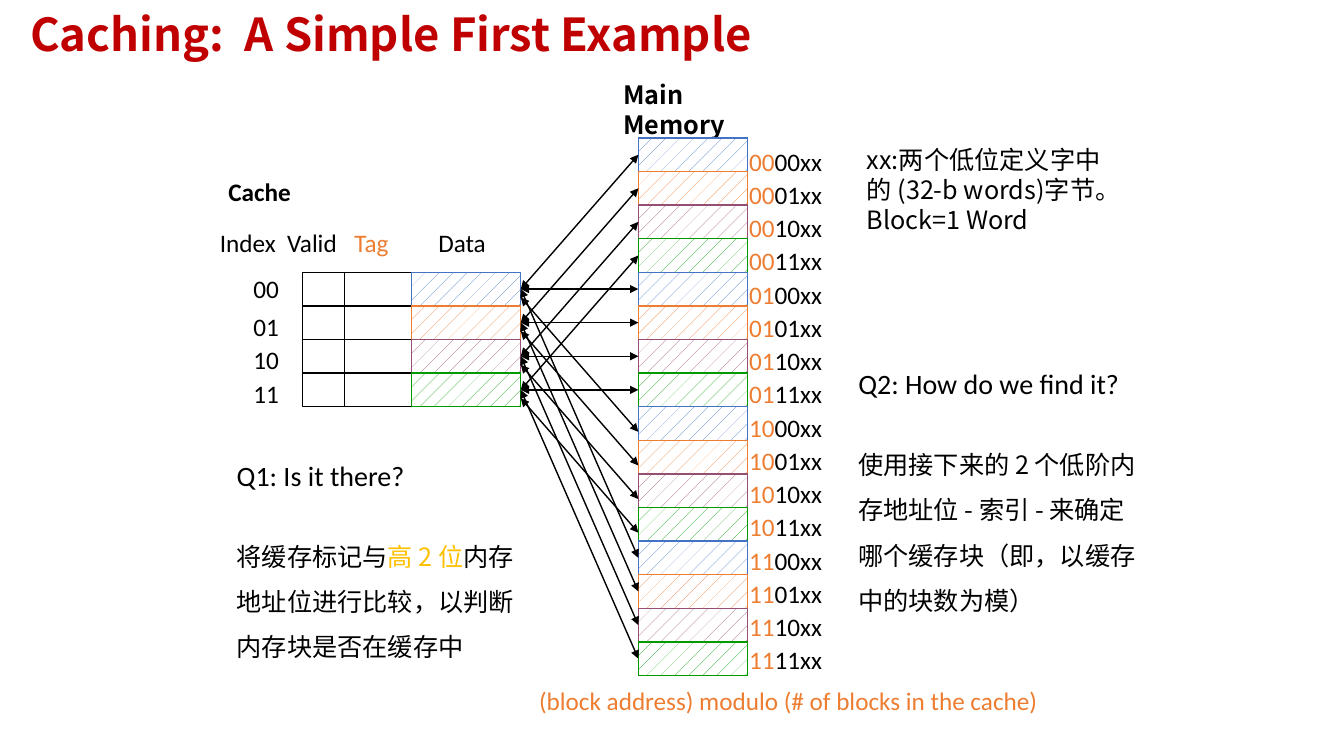
from dataclasses import dataclass

from lxml.etree import SubElement
from pptx import Presentation
from pptx.dml.color import RGBColor
from pptx.enum.dml import MSO_PATTERN
from pptx.enum.shapes import MSO_CONNECTOR, MSO_SHAPE
from pptx.enum.text import MSO_ANCHOR
from pptx.oxml.ns import qn
from pptx.util import Pt


@dataclass(frozen=True)
class Theme:
    latin: str = "Calibri"
    cjk: str = "Noto Sans CJK SC"
    black: str = "000000"
    white: str = "FFFFFF"
    title: str = "C00000"
    tag: str = "ED7D31"
    highlight: str = "FFC000"
    blocks: tuple = ("4472C4", "ED7D31", "954F72", "009900")
    title_size: float = 32.4
    question_size: float = 20
    body_size: float = 18
    line: float = 1


THEME = Theme()
ROW_H = 24
BITS = ("00", "01", "10", "11")


def add_run(p, text, color=THEME.black, font=THEME.latin, size=THEME.body_size, bold=False):
    r = p.add_run()
    r.text = text
    r.font.name = font
    r.font.size = Pt(size)
    r.font.bold = bold
    r.font.color.rgb = RGBColor.from_string(color)
    if font == THEME.cjk:
        SubElement(r.font._element, qn("a:ea"), typeface=font)


def add_box(slide, x, y, w, h, wrap=True):
    """Add an empty text box and return its text frame."""
    tf = slide.shapes.add_textbox(Pt(x), Pt(y), Pt(w), Pt(h)).text_frame
    tf.word_wrap = wrap
    return tf


def add_label(slide, text, x, y, w, h=29, wrap=False, **style):
    tf = add_box(slide, x, y, w, h, wrap)
    add_run(tf.paragraphs[0], text, **style)
    return tf


def add_cell(slide, x, y, w, h, color=THEME.black, hatched=False):
    sp = slide.shapes.add_shape(MSO_SHAPE.RECTANGLE, Pt(x), Pt(y), Pt(w), Pt(h))
    sp.shadow.inherit = False
    sp.line.color.rgb = RGBColor.from_string(color)
    sp.line.width = Pt(THEME.line)
    if hatched:
        sp.fill.patterned()
        sp.fill.pattern = MSO_PATTERN.PERCENT_5
        sp.fill.fore_color.rgb = RGBColor.from_string(color)
        sp.fill.back_color.rgb = RGBColor.from_string(THEME.white)
    else:
        sp.fill.background()
    return sp


def add_blocks(slide, x, y, w, count):
    """Stack hatched blocks, cycling through one colour per cache index."""
    add_cell(slide, x, y, w, count * ROW_H)
    return [add_cell(slide, x, y + i * ROW_H, w, ROW_H, THEME.blocks[i % 4], True)
            for i in range(count)]


def add_title(slide, x, y, w, h):
    tf = add_label(slide, "Caching:  A Simple First Example", x, y, w, h, True,
                   color=THEME.title, font=THEME.cjk, size=THEME.title_size, bold=True)
    tf.vertical_anchor = MSO_ANCHOR.MIDDLE
    tf.paragraphs[0].line_spacing = 0.9


def add_cache(slide, x, y):
    """Draw the cache with its table corner at x, y; return the data blocks."""
    add_label(slide, "Cache", x - 60, y - 72, 60, bold=True)
    headings = (("Index", -66, 55, THEME.black), ("Valid", -18, 50, THEME.black),
                ("Tag", 30, 40, THEME.tag), ("Data", 90, 49, THEME.black))
    for text, dx, w, color in headings:
        add_label(slide, text, x + dx, y - 36, w, color=color)
    for bits, dy in zip(BITS, (-3, 24, 48, 72)):
        add_label(slide, bits, x - 42, y + dy, 33)
    for dx, w in ((0, 30), (30, 48)):
        for row in range(4):
            add_cell(slide, x + dx, y + row * ROW_H, w, ROW_H)
    return add_blocks(slide, x + 78, y, 78, 4)


def add_memory(slide, x, y):
    """Draw main memory with its first block at x, y; return the blocks."""
    add_label(slide, "Main Memory", x - 18, y - 45.5, 122, wrap=True,
              font=THEME.cjk, bold=True)
    blocks = add_blocks(slide, x, y, 78, 16)
    tf = add_box(slide, x + 72, y, 78, 387)
    for i in range(16):
        p = tf.paragraphs[0] if i == 0 else tf.add_paragraph()
        p.line_spacing = 1.1
        add_run(p, BITS[i // 4], THEME.tag)
        add_run(p, BITS[i % 4] + "xx")
    return blocks


def add_mapping(slide, cache, memory):
    """Link each memory block to the cache block its index selects."""
    for i, block in enumerate(memory):
        data = cache[i % 4]
        # The third quarter runs a little lower, clear of the other arrowheads.
        lowered = i // 4 == 2
        drop = Pt(6) if lowered else 0
        line = slide.shapes.add_connector(
            MSO_CONNECTOR.STRAIGHT,
            block.left, block.top + block.height // 2 + drop,
            data.left + data.width, data.top + data.height // 2 + drop)
        if not lowered:
            line.begin_connect(block, 1)
            line.end_connect(data, 3)
        line.line.color.rgb = RGBColor.from_string(THEME.black)
        line.line.width = Pt(THEME.line)
        ln = line.line._get_or_add_ln()
        for end in ("a:headEnd", "a:tailEnd"):
            SubElement(ln, qn(end), type="triangle")
        SubElement(line._element.spPr, qn("a:effectLst"))


def add_question(slide, question, answer, x, y, w, h):
    """Place a question above its answer, given as (text, colour) runs."""
    tf = add_label(slide, question, x, y, w, h, True, size=THEME.question_size)
    tf.paragraphs[0].space_after = Pt(24)
    p = tf.add_paragraph()
    p.line_spacing = 1.5
    for text, color in answer:
        add_run(p, text, color, THEME.cjk)


def add_notes_text(slide):
    add_label(slide, "(block address) modulo (# of blocks in the cache)",
              378, 486, 432, wrap=True, color=THEME.tag)
    add_label(slide, "xx:两个低位定义字中的 (32-b words)字节。Block=1 Word",
              612, 99.5, 198, 73, True, font=THEME.cjk)
    add_question(slide, "Q2: How do we find it?",
                 [("使用接下来的 2 个低阶内存地址位 - 索引 - 来确定哪个缓存块"
                   "（即，以缓存中的块数为模）", THEME.black)],
                 606, 258.5, 216, 183)
    add_question(slide, "Q1: Is it there?",
                 [("将缓存标记与", THEME.black), ("高 2 位", THEME.highlight),
                  ("内存地址位进行比较，以判断内存块是否在缓存中", THEME.black)],
                 162, 324, 222, 150)


def main():
    prs = Presentation()
    prs.slide_width, prs.slide_height = Pt(960), Pt(540)
    slide = prs.slides.add_slide(prs.slide_layouts[6])
    add_title(slide, 14.4, 16.5, 828, 20)
    cache = add_cache(slide, 216, 194.5)
    memory = add_memory(slide, 456, 98.5)
    add_mapping(slide, cache, memory)
    add_notes_text(slide)
    prs.save("out.pptx")


if __name__ == "__main__":
    main()
